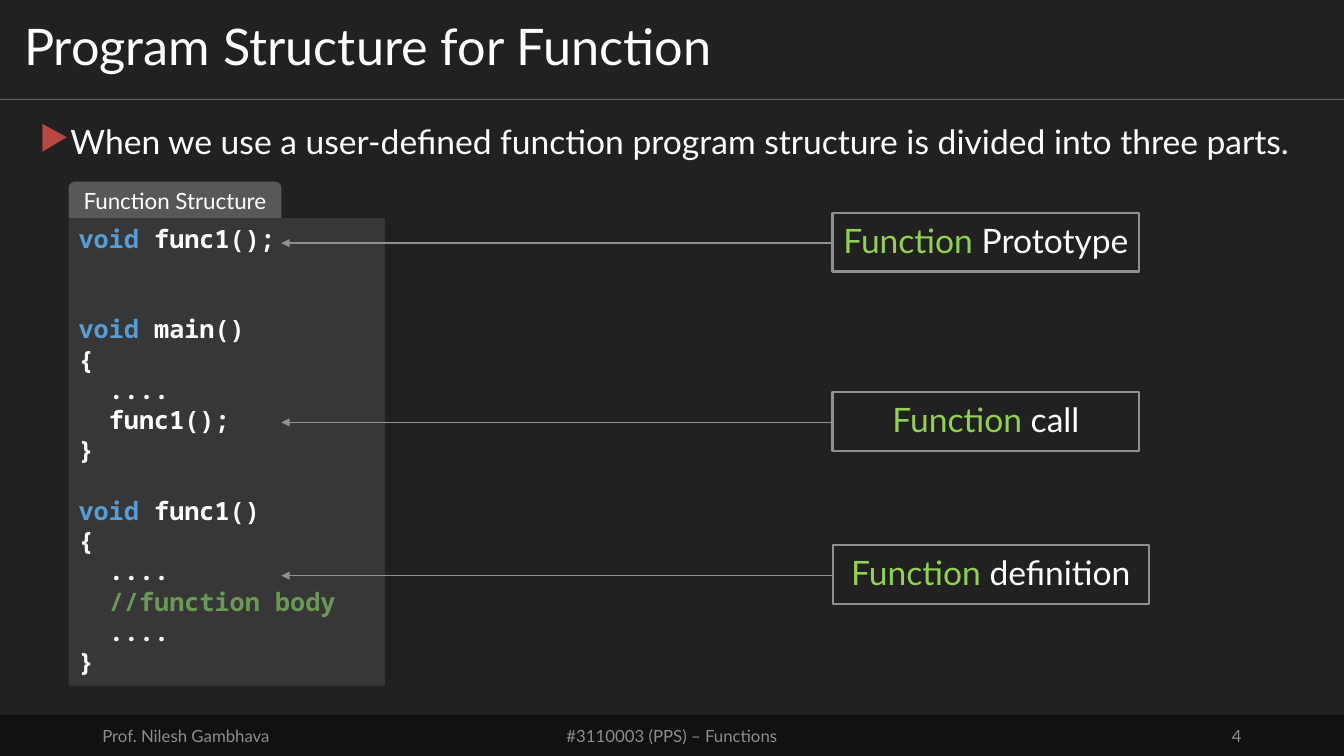
from dataclasses import dataclass

from lxml.etree import SubElement
from pptx import Presentation
from pptx.dml.color import RGBColor
from pptx.enum.shapes import MSO_CONNECTOR, MSO_SHAPE
from pptx.enum.text import MSO_ANCHOR, MSO_AUTO_SIZE, PP_ALIGN
from pptx.oxml.ns import qn
from pptx.util import Pt


@dataclass(frozen=True)
class Theme:
    back: str = "212121"
    band: str = "111111"
    rule: str = "646464"
    panel: str = "373737"
    tab: str = "585858"
    edge: str = "909090"
    muted: str = "8D8D8D"
    white: str = "FFFFFF"
    accent: str = "92D050"
    bullet: str = "B84742"
    keyword: str = "569CD6"
    remark: str = "6A9955"
    font: str = "Lato"
    mono: str = "Noto Sans Mono"
    title: int = 36
    body: int = 24
    code: int = 18
    label: int = 16
    small: int = 12


THEME = Theme()
WIDTH, HEIGHT = 960, 540
LINE = 21.6   # height of a code line
INDENT = 21.6  # two code characters

# Each line: blank lines before it, indent level, coloured pieces
CODE = [
    (0, 0, [("void", THEME.keyword), (" func1();", THEME.white)]),
    (2, 0, [("void", THEME.keyword), (" main()", THEME.white)]),
    (0, 0, [("{", THEME.white)]),
    (0, 1, [("....", THEME.white)]),
    (0, 1, [("func1();", THEME.white)]),
    (0, 0, [("}", THEME.white)]),
    (1, 0, [("void", THEME.keyword), (" func1()", THEME.white)]),
    (0, 0, [("{", THEME.white)]),
    (0, 1, [("....", THEME.white)]),
    (0, 1, [("//function body", THEME.remark)]),
    (0, 1, [("....", THEME.white)]),
    (0, 0, [("}", THEME.white)]),
]


def color(code):
    return RGBColor.from_string(code)


def write(para, pieces, size, font=THEME.font, bold=False):
    """Fill a paragraph with (text, colour) pieces."""
    for text, tint in pieces:
        run = para.add_run()
        run.text = text
        run.font.size, run.font.name, run.font.bold = Pt(size), font, bold
        run.font.color.rgb = color(tint)


def setup(frame, anchor=MSO_ANCHOR.MIDDLE, inset=(7.2, 3.6)):
    """Set wrap, anchor and (side, top) insets; return the first paragraph."""
    frame.word_wrap = True
    frame.auto_size = MSO_AUTO_SIZE.NONE
    frame.vertical_anchor = anchor
    frame.margin_left = frame.margin_right = Pt(inset[0])
    frame.margin_top = frame.margin_bottom = Pt(inset[1])
    return frame.paragraphs[0]


def block(slide, box, fill, kind=MSO_SHAPE.RECTANGLE, edge=None):
    shape = slide.shapes.add_shape(kind, *map(Pt, box))
    shape.shadow.inherit = False
    shape.fill.solid()
    shape.fill.fore_color.rgb = color(fill)
    if edge:
        shape.line.color.rgb = color(edge)
        shape.line.width = Pt(1.5)
    else:
        shape.line.fill.background()
    return shape


def link(slide, start, end, tint, weight, arrow=False):
    line = slide.shapes.add_connector(
        MSO_CONNECTOR.STRAIGHT, *map(Pt, (*start, *end)))
    line.line.color.rgb = color(tint)
    line.line.width = Pt(weight)
    props = line._element.spPr
    if arrow:
        SubElement(props.find(qn("a:ln")), qn("a:tailEnd"), type="triangle")
    SubElement(props, qn("a:effectLst"))


def header(slide, box):
    left, top, width, height = box
    title = slide.shapes.title
    title.left, title.top, title.width, title.height = map(Pt, box)
    para = setup(title.text_frame, inset=(17.3, 8.6))
    para.alignment, para.line_spacing = PP_ALIGN.LEFT, 0.9
    write(para, [("Program Structure for Function", THEME.white)], THEME.title)
    base = top + height
    link(slide, (left, base), (left + width, base), THEME.rule, 0.5)


def footer(slide, box):
    left, top, width, height = box
    block(slide, box, THEME.band)
    side, centre, margin = 216, 324, 66
    parts = [
        ("Prof. Nilesh Gambhava", margin, side, PP_ALIGN.LEFT),
        ("#3110003 (PPS) – Functions", (width - centre) / 2, centre,
         PP_ALIGN.CENTER),
        ("4", width - margin - side, side, PP_ALIGN.RIGHT),
    ]
    for text, shift, span, align in parts:
        area = slide.shapes.add_textbox(
            *map(Pt, (left + shift, top + 0.5, span, height - 0.5)))
        para = setup(area.text_frame)
        para.alignment = align
        write(para, [(text, THEME.muted)], THEME.small)


def point(slide, box):
    """Add the bulleted lead sentence."""
    area = slide.shapes.add_textbox(*map(Pt, box))
    para = setup(area.text_frame, MSO_ANCHOR.TOP)
    para.line_spacing = 0.9
    props = para._p.get_or_add_pPr()
    props.set("marL", str(Pt(21)))
    props.set("indent", str(Pt(-21)))
    tint = SubElement(props, qn("a:buClr"))
    SubElement(tint, qn("a:srgbClr"), val=THEME.bullet)
    SubElement(props, qn("a:buChar"), char="▶")
    text = ("When we use a user-defined function program structure "
            "is divided into three parts.")
    write(para, [(text, THEME.white)], THEME.body)


def listing(slide, box):
    """Add the code panel with its tab on top."""
    left, top, width, height = box
    tab = 26
    panel = block(slide, (left, top + tab, width, height - tab), THEME.panel)
    para = setup(panel.text_frame, MSO_ANCHOR.TOP)
    for row, (gap, level, pieces) in enumerate(CODE):
        if row:
            para = panel.text_frame.add_paragraph()
        para.alignment = PP_ALIGN.LEFT
        para.space_before = Pt(gap * LINE)
        para._p.get_or_add_pPr().set("marL", str(Pt(level * INDENT)))
        write(para, pieces, THEME.code, THEME.mono, True)
    cap = block(slide, (left, top, 152, tab), THEME.tab,
                MSO_SHAPE.ROUND_2_SAME_RECTANGLE)
    para = setup(cap.text_frame, inset=(7.2, 0))
    para.alignment = PP_ALIGN.CENTER
    write(para, [("Function Structure", THEME.white)], THEME.label)


def callout(slide, box, word, target):
    """Add a labelled box and its arrow back to the code at x = target."""
    left, top, _, height = box
    shape = block(slide, box, THEME.back, edge=THEME.edge)
    para = setup(shape.text_frame, inset=(1.5, 1.5))
    para.alignment, para.line_spacing = PP_ALIGN.CENTER, 0.9
    write(para, [("Function ", THEME.accent), (word, THEME.white)], THEME.body)
    level = top + height / 2 + 0.7
    link(slide, (left, level), (target, level), THEME.edge, 1, True)


def main():
    deck = Presentation()
    deck.slide_width, deck.slide_height = Pt(WIDTH), Pt(HEIGHT)
    slide = deck.slides.add_slide(deck.slide_layouts[5])
    slide.background.fill.solid()
    slide.background.fill.fore_color.rgb = color(THEME.back)
    header(slide, (0, 0, WIDTH, 70.8))
    footer(slide, (0, 510.5, WIDTH, 29.5))
    point(slide, (21, 86.4, 918.7, 46.8))
    listing(slide, (49, 129.8, 226, 360))
    for word, top, width in [("Prototype", 152, 219), ("call", 280, 219),
                             ("definition", 389.5, 226)]:
        callout(slide, (594.7, top, width, 42), word, 201)
    deck.save("out.pptx")


if __name__ == "__main__":
    main()
